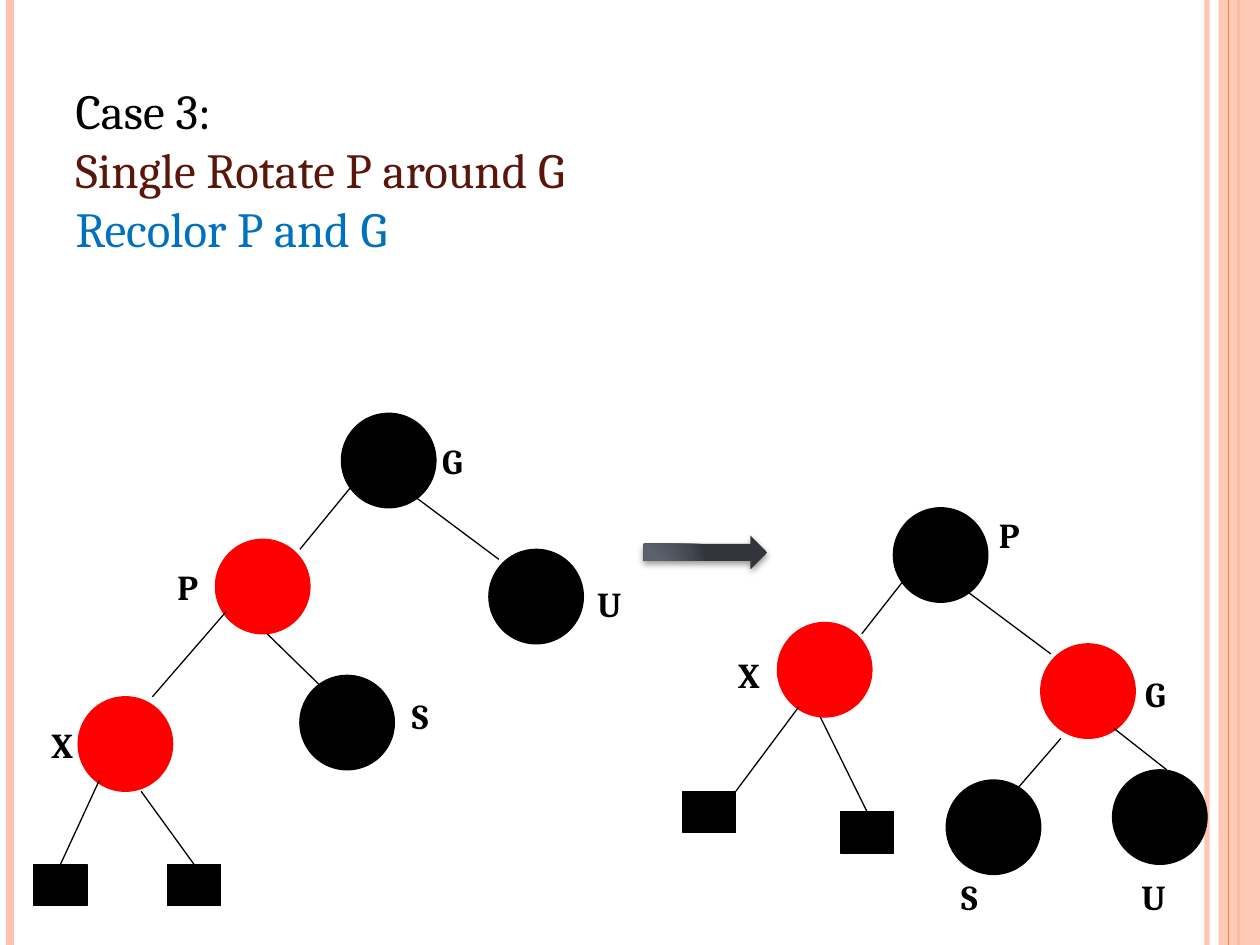
from lxml import etree
from pptx import Presentation
from pptx import util as u
from pptx.dml.color import RGBColor
from pptx.enum import shapes, text
from pptx.oxml import parse_xml
from pptx.oxml.ns import nsdecls, qn

NODE = 0.75
LEAF_WIDTH, LEAF_HEIGHT = 0.42, 0.33
BLACK, RED = "000000", "FF0000"
PALE, ORANGE = "FEC3AE", "FE8637"

# name: left, top, colour, label left, label top
BEFORE_NODES = {
    "G": (2.71, 3.28, BLACK, 3.41, 3.44),
    "P": (1.71, 4.28, RED, 1.31, 4.44),
    "U": (3.88, 4.36, BLACK, 4.64, 4.57),
    "S": (2.38, 5.36, BLACK, 3.17, 5.46),
    "X": (0.62, 5.53, RED, 0.31, 5.69),
}
BEFORE_EDGES = [
    (2.79, 3.86, 2.38, 4.36),
    (3.29, 3.94, 3.96, 4.44),
    (2.12, 5.03, 2.54, 5.44),
    (1.79, 4.86, 1.21, 5.53),
]
# left, top, then the start of the edge that ends on the leaf's top side
BEFORE_LEAVES = [(0.27, 6.86, 0.79, 6.19), (1.33, 6.86, 1.12, 6.28)]

AFTER_NODES = {
    "P": (7.09, 4.03, BLACK, 7.83, 4.03),
    "X": (6.17, 4.94, RED, 5.76, 5.14),
    "G": (8.26, 5.11, RED, 8.99, 5.29),
    "S": (7.51, 6.19, BLACK, 7.53, 6.9),
    "U": (8.83, 6.11, BLACK, 8.96, 6.9),
}
AFTER_EDGES = [
    (7.17, 4.61, 6.84, 5.03),
    (7.67, 4.69, 8.34, 5.19),
    (8.84, 5.78, 9.26, 6.11),
    (8.42, 5.86, 7.84, 6.53),
    (6.34, 5.61, 5.84, 6.28),
]
AFTER_LEAVES = [(6.67, 6.44, 6.51, 5.69)]
CORNER_LEAF = (5.42, 6.28)

HEADING = [
    ("Case 3:", BLACK),
    ("Single Rotate P around G", "5A160B"),
    ("Recolor P and G", "0070C0"),
]
ARROW_STOPS = [(0, "5E656F"), (30, "5B616B"), (75, "444951"), (100, "32363C")]


def rgb(code):
    return RGBColor.from_string(code)


def inches(*lengths):
    return [u.Inches(length) for length in lengths]


def write(paragraph, words, size=20, color=BLACK, bold=False, font="Cambria"):
    paragraph.alignment = text.PP_ALIGN.LEFT
    run = paragraph.add_run()
    run.text = words
    run.font.name = font
    run.font.size = u.Pt(size)
    run.font.bold = bold
    run.font.color.rgb = rgb(color)


def set_opacity(fill_parent, percent):
    color = next(fill_parent.iter(qn("a:srgbClr")))
    etree.SubElement(color, qn("a:alpha")).set("val", str(percent * 1000))


class TreeSlide:
    def __init__(self, slide):
        self.slide = slide

    def heading(self, lines, left, top, width, height):
        title = self.slide.shapes.title
        title.left, title.top, title.width, title.height = inches(left, top, width, height)
        frame = title.text_frame
        frame.word_wrap = True
        frame.auto_size = text.MSO_AUTO_SIZE.NONE
        frame.vertical_anchor = text.MSO_ANCHOR.TOP
        for index, (words, color) in enumerate(lines):
            paragraph = frame.add_paragraph() if index else frame.paragraphs[0]
            paragraph.space_before = u.Pt(0)
            paragraph.line_spacing = 1.0
            write(paragraph, words, size=28, color=color)

    def shape(self, kind, left, top, width, height, color=BLACK, outlined=True):
        shape = self.slide.shapes.add_shape(kind, *inches(left, top, width, height))
        shape.shadow.inherit = False
        shape.fill.solid()
        shape.fill.fore_color.rgb = rgb(color)
        if outlined:
            shape.line.color.rgb = rgb(color)
            shape.line.width = u.Pt(0.75)
        else:
            shape.line.fill.background()
        return shape

    def line(self, x1, y1, x2, y2, color=BLACK, width=0.75):
        line = self.slide.shapes.add_connector(
            shapes.MSO_CONNECTOR.STRAIGHT, *inches(x1, y1, x2, y2))
        line.line.color.rgb = rgb(color)
        line.line.width = u.Pt(width)
        etree.SubElement(line._element.spPr, qn("a:effectLst"))
        return line

    def label(self, words, left, top):
        box = self.slide.shapes.add_textbox(*inches(left, top, 0.42, 0.44))
        box.text_frame.word_wrap = True
        write(box.text_frame.paragraphs[0], words, bold=True)

    def leaf(self, left, top):
        return self.shape(shapes.MSO_SHAPE.RECTANGLE, left, top, LEAF_WIDTH, LEAF_HEIGHT)

    def tree(self, nodes, edges, leaves):
        for name, (left, top, color, label_left, label_top) in nodes.items():
            self.shape(shapes.MSO_SHAPE.OVAL, left, top, NODE, NODE, color)
            self.label(name, label_left, label_top)
        for edge in edges:
            self.line(*edge)
        for left, top, start_x, start_y in leaves:
            leaf = self.leaf(left, top)
            edge = self.line(start_x, start_y, left + LEAF_WIDTH / 2, top)
            edge.end_connect(leaf, 0)

    def rotation_arrow(self, left, top, width, height):
        arrow = self.shape(shapes.MSO_SHAPE.RIGHT_ARROW, left, top, width, height,
                           outlined=False)
        stops = "".join(
            f'<a:gs pos="{position * 1000}"><a:srgbClr val="{color}"/></a:gs>'
            for position, color in ARROW_STOPS)
        gradient = parse_xml(
            f'<a:gradFill {nsdecls("a")} rotWithShape="1"><a:gsLst>{stops}</a:gsLst>'
            '<a:path path="circle">'
            '<a:fillToRect l="5000" t="100000" r="120000" b="10000"/>'
            '</a:path></a:gradFill>')
        properties = arrow._element.spPr
        properties.replace(properties.find(qn("a:solidFill")), gradient)
        properties.find(qn("a:effectLst")).append(parse_xml(
            f'<a:outerShdw {nsdecls("a")} blurRad="{u.Pt(4)}" dist="{u.Pt(1.6)}" '
            'dir="5400000" rotWithShape="0"><a:srgbClr val="000000">'
            '<a:alpha val="42000"/></a:srgbClr></a:outerShdw>'))

    def side_stripes(self, height):
        inner = self.line(9.58, 0, 9.58, height, PALE, 3)
        set_opacity(inner._element.spPr, 93)
        self.line(0.08, 0, 0.08, height, PALE, 4.5)
        self.line(9.83, 0, 9.83, height, ORANGE, 1.5)
        band = self.shape(shapes.MSO_SHAPE.RECTANGLE, 9.67, 0, 0.33, height, PALE,
                          outlined=False)
        set_opacity(band._element.spPr, 87)
        self.line(9.75, 0, 9.75, height, ORANGE)


def main():
    deck = Presentation()
    deck.slide_width, deck.slide_height = inches(10, 7.5)
    rotation = TreeSlide(deck.slides.add_slide(deck.slide_layouts[5]))
    rotation.side_stripes(7.5)
    rotation.heading(HEADING, 0.5, 0.59, 8.67, 1.51)
    rotation.tree(BEFORE_NODES, BEFORE_EDGES, BEFORE_LEAVES)
    rotation.tree(AFTER_NODES, AFTER_EDGES, AFTER_LEAVES)
    rotation.leaf(*CORNER_LEAF)
    rotation.rotation_arrow(5.11, 4.25, 0.98, 0.27)
    deck.save("out.pptx")


if __name__ == "__main__":
    main()
